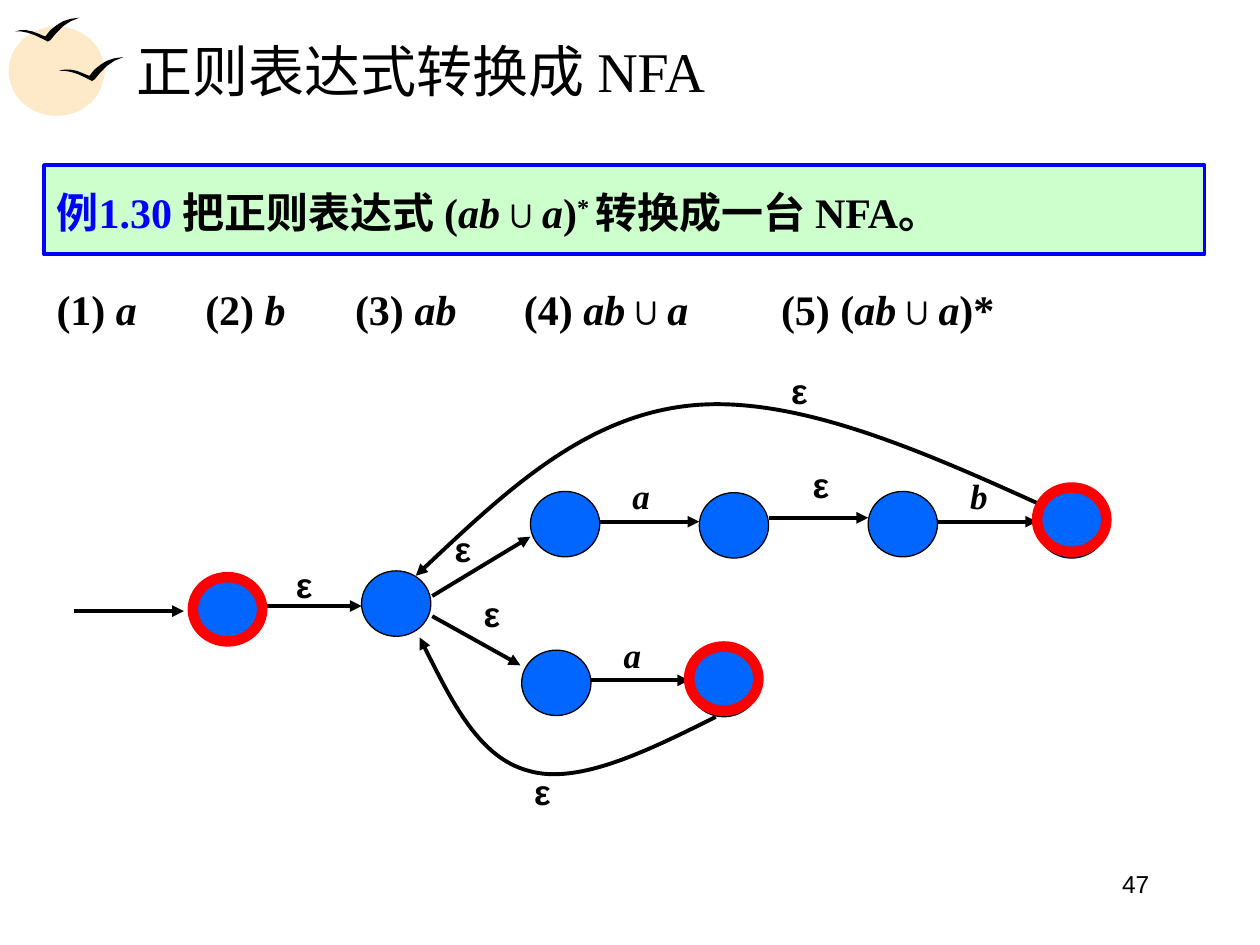
from lxml import etree
from pptx import Presentation
from pptx.dml.color import RGBColor
from pptx.enum.shapes import MSO_CONNECTOR, MSO_SHAPE
from pptx.enum.text import MSO_ANCHOR, MSO_AUTO_SIZE, PP_ALIGN
from pptx.oxml.ns import qn
from pptx.util import Pt

OVAL = MSO_SHAPE.OVAL
STRAIGHT = MSO_CONNECTOR.STRAIGHT
LEFT, CENTER, RIGHT = PP_ALIGN.LEFT, PP_ALIGN.CENTER, PP_ALIGN.RIGHT

BLACK = RGBColor(0x00, 0x00, 0x00)
BLUE = RGBColor(0x00, 0x00, 0xFF)
RED = RGBColor(0xFF, 0x00, 0x00)
STATE_BLUE = RGBColor(0x00, 0x66, 0xFF)
PALE_GREEN = RGBColor(0xCC, 0xFF, 0xCC)
SUN = RGBColor(0xFE, 0xE9, 0xC8)
SERIF, SANS = "Times New Roman", "Arial"


def add_runs(paragraph, pieces):
    for text, style in pieces:
        run = paragraph.add_run()
        run.text = text
        if style == "italic":
            run.font.italic = True
        elif style == "super":
            run.font._element.set("baseline", "30000")
        elif style == "blue":
            run.font.color.rgb = BLUE


def add_text(left, top, width, height, pieces, size, font_name, bold, alignment, wrap=True):
    box = slide.shapes.add_textbox(Pt(left), Pt(top), Pt(width), Pt(height))
    box.text_frame.word_wrap = wrap
    paragraph = box.text_frame.paragraphs[0]
    paragraph.alignment = alignment
    paragraph.font.size = Pt(size)
    paragraph.font.name = font_name
    paragraph.font.bold = bold
    paragraph.font.color.rgb = BLACK
    add_runs(paragraph, pieces)
    return box


presentation = Presentation()
presentation.slide_width = Pt(720)
presentation.slide_height = Pt(540)
slide = presentation.slides.add_slide(presentation.slide_layouts[1])

for left, top, width, height in [(5, 15.1, 54.7, 51.1), (14.4, 20.2, 45.4, 39.6)]:
    sun = slide.shapes.add_shape(OVAL, Pt(left), Pt(top), Pt(width), Pt(height))
    sun.shadow.inherit = False
    sun.fill.solid()
    sun.fill.fore_color.rgb = SUN
    sun.line.fill.background()

bird_outline = [
    (8.6, 18), (11.5, 17.3), (15.1, 17.3), (18.7, 18), (22.3, 19.4), (25.9, 20.9),
    (28.8, 17.3), (32.4, 14.4), (36, 12.2), (40.3, 10.8), (45.4, 10.1), (40.3, 12.2),
    (36, 15.1), (32.4, 18.7), (28.8, 23), (27.4, 23.8), (24.5, 22.3), (20.2, 20.2),
    (15.8, 18.7), (12.2, 18),
]
for shift_x, shift_y in [(25.2, 22.5), (0, 0)]:
    points = [(Pt(x + shift_x), Pt(y + shift_y)) for x, y in bird_outline]
    builder = slide.shapes.build_freeform(*points[0])
    builder.add_line_segments(points[1:])
    bird = builder.convert_to_shape()
    bird.shadow.inherit = False
    bird.fill.solid()
    bird.fill.fore_color.rgb = BLACK
    bird.line.fill.background()

title = slide.shapes.title
title.left, title.top, title.width, title.height = Pt(70.6), Pt(15.1), Pt(614.2), Pt(49.7)
title.text_frame.text = "正则表达式转换成 NFA"
title.text_frame.vertical_anchor = MSO_ANCHOR.MIDDLE
title.text_frame.auto_size = MSO_AUTO_SIZE.NONE
paragraph = title.text_frame.paragraphs[0]
paragraph.alignment = LEFT
paragraph.font.size = Pt(32)
paragraph.font.name = SERIF
paragraph.font.color.rgb = BLACK

example = slide.placeholders[1]
example.left, example.top, example.width, example.height = Pt(25.2), Pt(94.3), Pt(663.1), Pt(51.1)
example.fill.solid()
example.fill.fore_color.rgb = PALE_GREEN
example.line.color.rgb = BLUE
example.line.width = Pt(2.25)
example.text_frame.auto_size = MSO_AUTO_SIZE.NONE
example.text_frame.margin_top = Pt(8.1)
paragraph = example.text_frame.paragraphs[0]
paragraph.line_spacing = 1.15
paragraph.space_before = Pt(0)
properties = paragraph._element.get_or_add_pPr()
properties.set("marL", str(Pt(70.6)))
properties.set("indent", str(Pt(-70.6)))
etree.SubElement(properties, qn("a:buNone"))
paragraph.font.size = Pt(24)
paragraph.font.name = SERIF
paragraph.font.bold = True
paragraph.font.color.rgb = BLACK
add_runs(paragraph, [
    ("例1.30 ", "blue"), ("把正则表达式 (", ""), ("ab", "italic"), ("∪", ""),
    ("a", "italic"), (")", ""), ("* ", "super"), ("转换成一台 NFA。", ""),
])

steps = [
    (25.2, 85, [("(1) ", ""), ("a", "italic")]),
    (110.2, 85, [("(2) ", ""), ("b", "italic")]),
    (195.8, 85, [("(3) ", ""), ("ab", "italic")]),
    (292.3, 124.6, [("(4) ", ""), ("ab", "italic"), ("∪", ""), ("a", "italic")]),
    (439.2, 164.2, [("(5) (", ""), ("ab", "italic"), ("∪", ""), ("a", "italic"), (")*", "")]),
]
for left, width, pieces in steps:
    step = add_text(left, 157, width, 36, pieces, 24, SERIF, True, LEFT)
    step.text_frame.margin_top = Pt(5.1)

arrows = []
for start_x, start_y, end_x, end_y in [
    (42.5, 349.2, 105.1, 349.2), (150.5, 346.3, 206.6, 346.3),
    (247, 340.6, 303.1, 306.7), (247, 352.1, 297.4, 380.2),
    (342.7, 298.1, 399.6, 298.1), (439.2, 295.9, 496.1, 295.9),
    (535.7, 298.1, 592.6, 298.1), (337.7, 388.8, 393.8, 388.8),
]:
    arrows.append(slide.shapes.add_connector(
        STRAIGHT, Pt(start_x), Pt(start_y), Pt(end_x), Pt(end_y)))

return_curves = [
    [(596.9, 289.4), (525.6, 257), (453.6, 225.4), (393.8, 231.8),
     (333.4, 238.3), (285.8, 283.7), (237.6, 329)],
    [(409, 409.7), (370.1, 429.1), (330.5, 448.6), (302.4, 440.6),
     (274.3, 433.4), (257, 398.9), (239.8, 364.3)],
]
for curve_points in return_curves:
    points = [(Pt(x), Pt(y)) for x, y in curve_points]
    builder = slide.shapes.build_freeform(*points[0])
    builder.add_line_segments(points[1:], close=False)
    curve = builder.convert_to_shape()
    curve.fill.background()
    outline = curve.element.spPr.find(".//" + qn("a:path"))
    segments = outline.findall(qn("a:lnTo"))
    for first in range(0, len(segments), 3):
        bezier = etree.SubElement(outline, qn("a:cubicBezTo"))
        for segment in segments[first:first + 3]:
            bezier.append(segment[0])
            outline.remove(segment)
    arrows.append(curve)

for arrow in arrows:
    arrow.line.color.rgb = BLACK
    arrow.line.width = Pt(2.25)
    shape_properties = arrow.element.spPr
    etree.SubElement(shape_properties.find(qn("a:ln")), qn("a:tailEnd"), type="triangle")
    etree.SubElement(shape_properties, qn("a:effectLst"))

plain_states = [
    (206.6, 326.2), (303.1, 280.8), (399.6, 281.5), (496.1, 280.8),
    (592.6, 281.5), (298.1, 371.5), (393.8, 372.2),
]
accepting_states = [(110.2, 329.8), (393.8, 369.4), (592.6, 278.6)]
for positions, height, line_color, line_width in [
    (plain_states, 37.4, BLACK, 0.75),
    (accepting_states, 36.7, RED, 6),
]:
    for left, top in positions:
        state = slide.shapes.add_shape(OVAL, Pt(left), Pt(top), Pt(39.6), Pt(height))
        state.shadow.inherit = False
        state.fill.solid()
        state.fill.fore_color.rgb = STATE_BLUE
        state.line.color.rgb = line_color
        state.line.width = Pt(line_width)

for letter, left, top in [("a", 354.2, 267.8), ("b", 547.2, 267.8), ("a", 349.2, 358.6)]:
    add_text(left, top, 24.5, 31.7, [(letter, "italic")], 20, SERIF, True, CENTER, False)

for left, top in [
    (162, 318.2), (252.7, 298.1), (269.3, 334.8),
    (457.2, 261.4), (445, 207.4), (298.1, 437),
]:
    add_text(left, top, 23, 31.7, [("ε", "")], 20, SANS, True, CENTER, False)

add_text(496.1, 493.2, 167.8, 37.4, [("47", "")], 14, SANS, False, RIGHT)

presentation.save("out.pptx")
